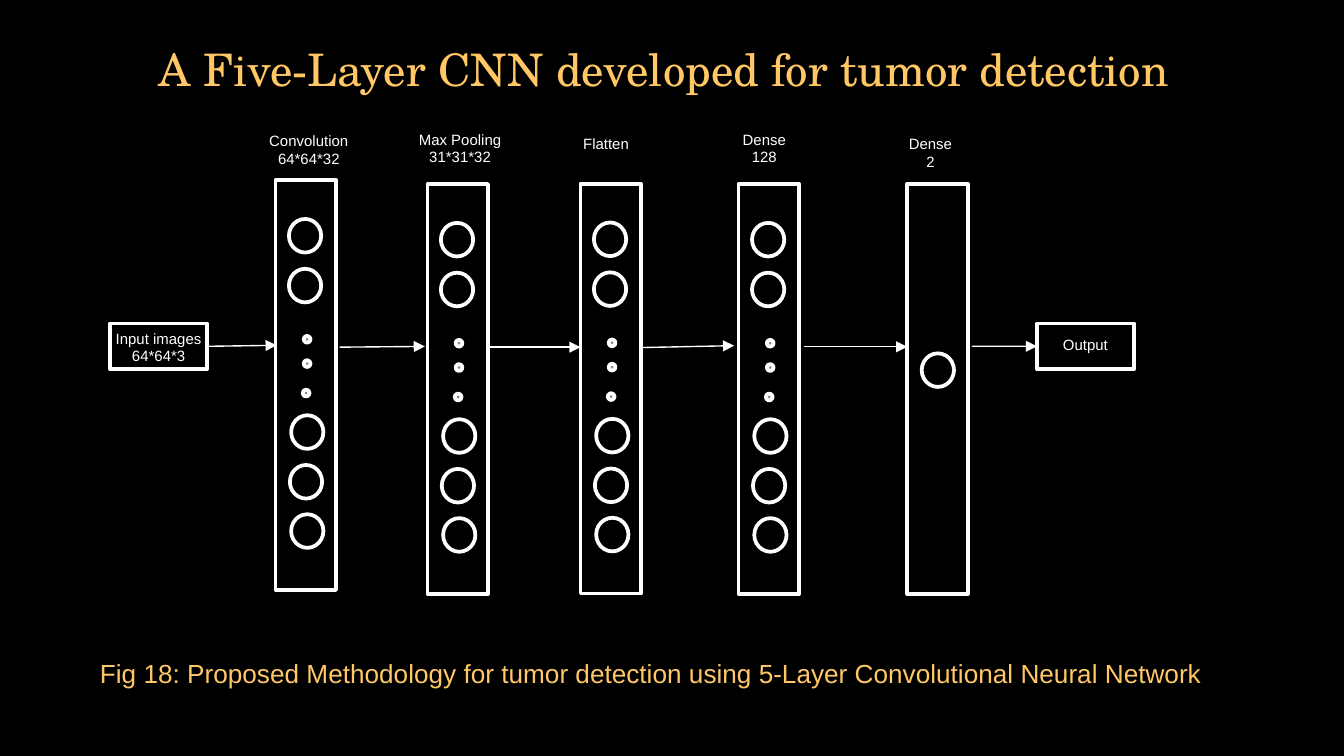
from lxml import etree
from pptx import Presentation
from pptx.dml.color import RGBColor
from pptx.enum.shapes import MSO_CONNECTOR, MSO_SHAPE
from pptx.enum.text import MSO_ANCHOR, MSO_AUTO_SIZE, PP_ALIGN
from pptx.oxml.ns import qn
from pptx.util import Pt

RECTANGLE = MSO_SHAPE.RECTANGLE
ELLIPSE = MSO_SHAPE.OVAL
DOT = MSO_SHAPE.FLOWCHART_CONNECTOR
STRAIGHT = MSO_CONNECTOR.STRAIGHT
CENTER = PP_ALIGN.CENTER
LEFT = PP_ALIGN.LEFT
TOP = MSO_ANCHOR.TOP
NO_AUTOFIT = MSO_AUTO_SIZE.NONE

BLACK = "000000"
WHITE = "FFFFFF"
GOLD = "FFC865"
BROWN = "A3896F"
LEFT_SIDE, RIGHT_SIDE = 1, 3

LAYER_SIZE = (32.4, 219.6)
NEURON_SIZE = (17.3, 18)
DOT_SIZE = (3.6, 3.6)
NEURON_OFFSETS = [(7.2, 20.8), (7.2, 47.5), (8.4, 126), (7.7, 152.6), (8.4, 179)]
DOT_OFFSETS = [(15.1, 83.5), (15.1, 96.5), (14.6, 112.3)]
OUTPUT_NEURON_OFFSETS = [(7.8, 90.7)]

HIDDEN_LAYERS = [
    (147.6, 96.5, ["Convolution", "64*64*32"], 165.5, 67),
    (229, 98.6, ["Max Pooling", "31*31*32"], 246.5, 66.2),
    (311, 98.4, ["Flatten"], 324.7, 68.4),
    (395.7, 98.6, ["Dense", "128"], 409.5, 66.2),
]
OUTPUT_LAYER = (486, 98.6, ["Dense", "2"], 498.5, 68.4)

LAYER_ARROWS = [
    (182, 186, 227.6, 185.6),
    (261.6, 186, 311, 186),
    (344.3, 186.2, 393.3, 185.2),
    (430.6, 185.8, 486, 185.8),
]


def color(hex_string):
    return RGBColor.from_string(hex_string)


def format_text(text_frame, size, hex_string, font_name, alignment):
    for paragraph in text_frame.paragraphs:
        paragraph.alignment = alignment
        for run in paragraph.runs:
            run.font.size = Pt(size)
            run.font.name = font_name
            run.font.color.rgb = color(hex_string)


def add_title(slide, text):
    title = slide.shapes.title
    title.left, title.top, title.width, title.height = Pt(50.4), Pt(15.1), Pt(610), Pt(52)
    text_frame = title.text_frame
    text_frame.text = text
    text_frame.auto_size = NO_AUTOFIT
    text_frame.vertical_anchor = TOP
    text_frame.margin_top = text_frame.margin_bottom = Pt(7.2)
    format_text(text_frame, 24, GOLD, "TeX Gyre Schola", CENTER)


def add_text(slide, lines, left, top, width, height, size=8, hex_string=WHITE, alignment=CENTER):
    box = slide.shapes.add_textbox(Pt(left), Pt(top), Pt(width), Pt(height))
    text_frame = box.text_frame
    text_frame.word_wrap = True
    text_frame.text = "\n".join(lines)
    format_text(text_frame, size, hex_string, "Arial", alignment)


def add_label(slide, lines, center, top):
    width = 72
    add_text(slide, lines, center - width / 2, top, width, 26.6)


def add_outline(slide, kind, left, top, size, fill=None):
    width, height = size
    shape = slide.shapes.add_shape(kind, Pt(left), Pt(top), Pt(width), Pt(height))
    shape.shadow.inherit = False
    if fill:
        shape.fill.solid()
        shape.fill.fore_color.rgb = color(fill)
    else:
        shape.fill.background()
    shape.line.color.rgb = color(WHITE)
    shape.line.width = Pt(2)
    return shape


def add_arrow(slide, start_x, start_y, end_x, end_y):
    arrow = slide.shapes.add_connector(STRAIGHT, Pt(start_x), Pt(start_y), Pt(end_x), Pt(end_y))
    arrow.line.color.rgb = color(WHITE)
    arrow.line.width = Pt(0.75)
    etree.SubElement(arrow.line._get_or_add_ln(), qn("a:tailEnd"), type="triangle")
    etree.SubElement(arrow._element.spPr, qn("a:effectLst"))
    return arrow


def add_layer(slide, layer, neuron_offsets, dot_offsets):
    left, top, lines, label_center, label_top = layer
    add_outline(slide, RECTANGLE, left, top, LAYER_SIZE)
    for x, y in neuron_offsets:
        add_outline(slide, ELLIPSE, left + x, top + y, NEURON_SIZE)
    for x, y in dot_offsets:
        add_outline(slide, DOT, left + x, top + y, DOT_SIZE, BROWN)
    add_label(slide, lines, label_center, label_top)


def add_end_box(slide, left, lines, label_center, label_top):
    box = add_outline(slide, RECTANGLE, left, 173.3, (52, 24.5))
    add_label(slide, lines, label_center, label_top)
    return box


def main():
    presentation = Presentation()
    presentation.slide_width, presentation.slide_height = Pt(720), Pt(405)
    slide = presentation.slides.add_slide(presentation.slide_layouts[5])
    slide.background.fill.solid()
    slide.background.fill.fore_color.rgb = color(BLACK)

    add_title(slide, "A Five-Layer CNN developed for tumor detection")
    caption = "Fig 18: Proposed Methodology for tumor detection using 5-Layer Convolutional Neural Network"
    add_text(slide, [caption], 46.5, 348.5, 620, 24.5, 14, GOLD, LEFT)

    input_box = add_end_box(slide, 59, ["Input images", "64*64*3"], 85, 172.8)
    for layer in HIDDEN_LAYERS:
        add_layer(slide, layer, NEURON_OFFSETS, DOT_OFFSETS)
    add_layer(slide, OUTPUT_LAYER, OUTPUT_NEURON_OFFSETS, [])
    output_box = add_end_box(slide, 555.6, ["Output"], 581.5, 176.4)

    for ends in LAYER_ARROWS:
        add_arrow(slide, *ends)
    input_arrow = add_arrow(slide, 111, 185.5, 148.2, 185)
    input_arrow.begin_connect(input_box, RIGHT_SIDE)
    output_arrow = add_arrow(slide, 520.6, 185.5, 555.6, 185.5)
    output_arrow.end_connect(output_box, LEFT_SIDE)

    presentation.save("out.pptx")


if __name__ == "__main__":
    main()
